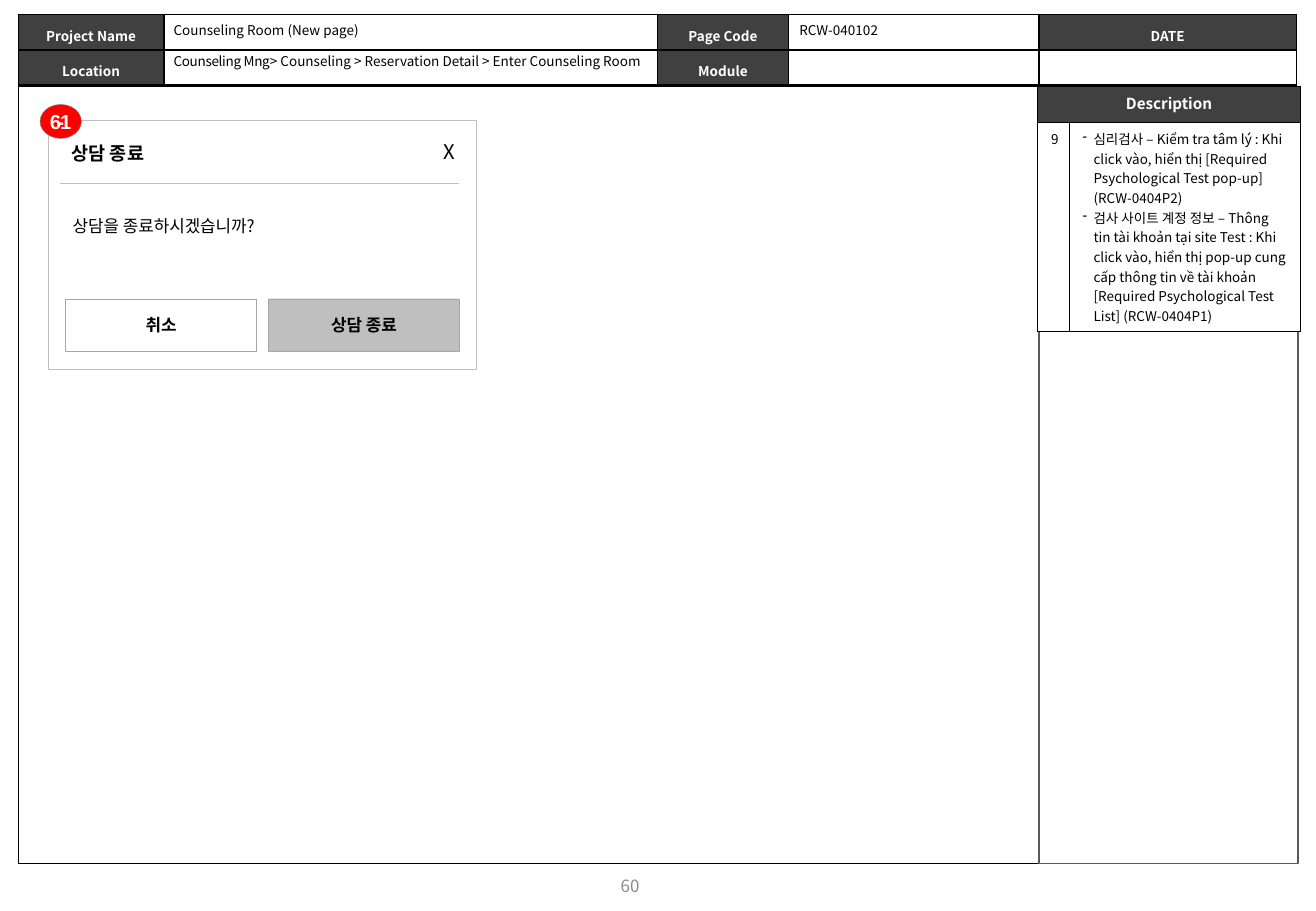
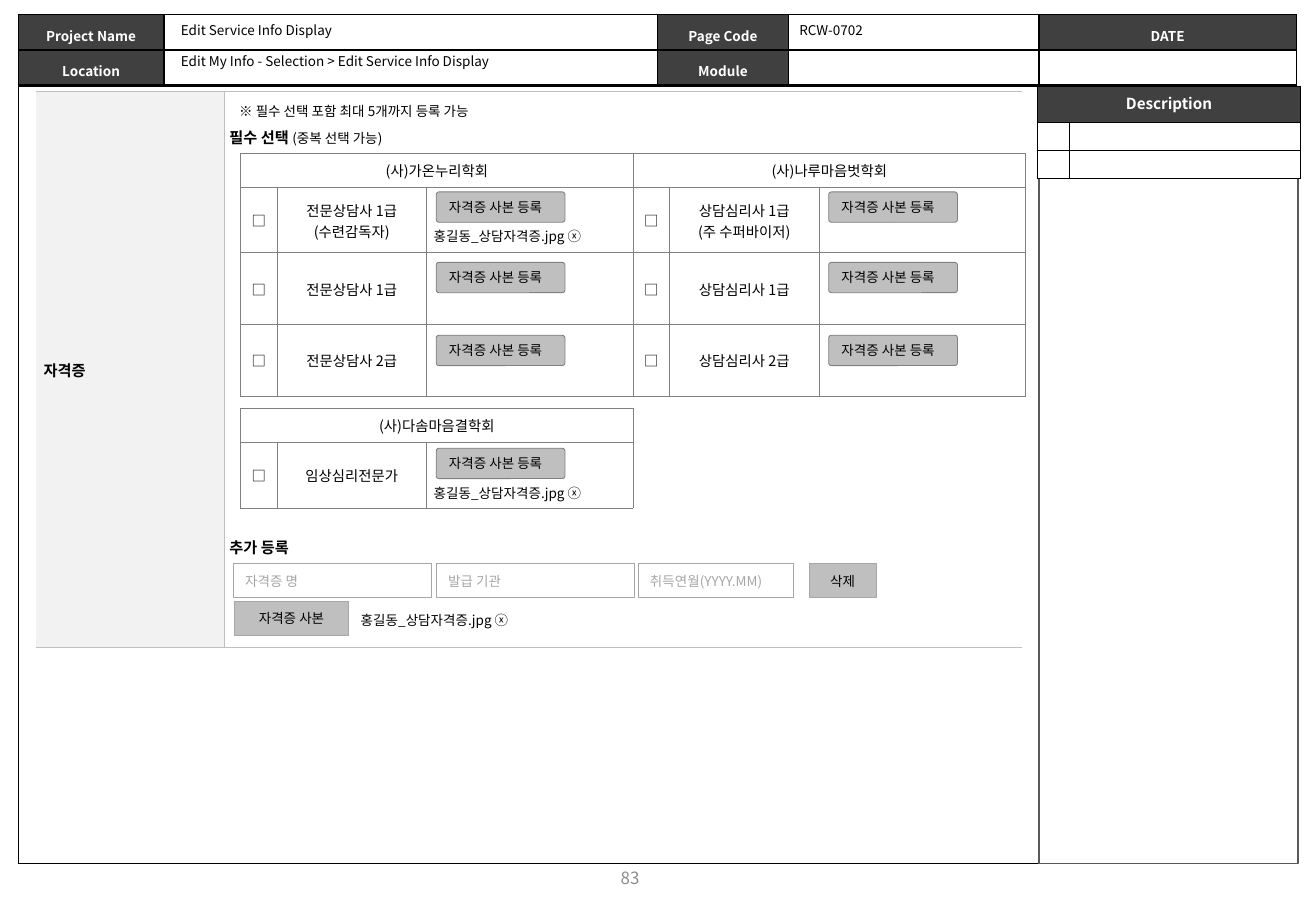
from itertools import product

from lxml import etree
from pptx import Presentation
from pptx.dml.color import RGBColor
from pptx.enum import shapes as kinds, text as texts
from pptx.oxml import ns
from pptx.util import Inches, Pt

BLACK = RGBColor(0x00, 0x00, 0x00)
WHITE = RGBColor(0xFF, 0xFF, 0xFF)
RED = RGBColor(0xFF, 0x00, 0x00)
CHARCOAL = RGBColor(0x40, 0x40, 0x40)
PANEL_LINE = RGBColor(0x59, 0x59, 0x59)
GRAY = RGBColor(0x80, 0x80, 0x80)
NUMBER_GRAY = RGBColor(0x8C, 0x8C, 0x8C)
HINT_GRAY = RGBColor(0xA6, 0xA6, 0xA6)
SILVER = RGBColor(0xBF, 0xBF, 0xBF)
PALE = RGBColor(0xF2, 0xF2, 0xF2)
SANS = "Noto Sans CJK KR"
CENTER = texts.PP_ALIGN.CENTER
MIDDLE = texts.MSO_ANCHOR.MIDDLE
RECTANGLE = kinds.MSO_SHAPE.RECTANGLE
TIGHT = (0.01, 0.01, 0.01, 0)
ROOMY = (0.11, 0.05, 0.11, 0.05)
BAR = (0.04, 0.04, 0.04, 0.04)
MARGIN_NAMES = ("margin_left", "margin_top", "margin_right", "margin_bottom")
FILE_NAME = "홍길동_상담자격증.jpg ⓧ"


def apply(target, values):
    """Set every attribute named in a dict."""
    for name, value in values.items():
        setattr(target, name, value)


def margins(insets):
    """Return inset attributes for a text frame or a cell."""
    return dict(zip(MARGIN_NAMES, map(Inches, insets)))


def add_run(paragraph, content, size=8, color=BLACK, bold=False, font=SANS, tracking=0):
    """Add one formatted run."""
    run = paragraph.add_run()
    run.text = content
    apply(run.font, {"size": Pt(size), "bold": bold, "name": font})
    run.font.color.rgb = color
    properties = run.font._element
    east_asian = etree.SubElement(properties, ns.qn("a:ea"))
    east_asian.set("typeface", SANS)
    if tracking:
        properties.set("spc", str(round(tracking * 100)))


def write(frame, paragraphs, align=None, spacing=None, bullet=None, **style):
    """Fill a text frame from a string or a list of paragraphs."""
    if isinstance(paragraphs, str):
        paragraphs = [paragraphs]
    for index, content in enumerate(paragraphs):
        paragraph = frame.add_paragraph() if index else frame.paragraphs[0]
        apply(paragraph, {"alignment": align, "line_spacing": spacing})
        runs = [(content, {})] if isinstance(content, str) else content
        for words, changes in runs:
            add_run(paragraph, words, **{**style, **changes})
        if bullet:
            properties = paragraph._p.get_or_add_pPr()
            for name, value in {"marL": 0.09, "indent": -0.09}.items():
                properties.set(name, str(Inches(value)))
            etree.SubElement(properties, ns.qn("a:buChar")).set("char", bullet)


def add_text(shapes, box, content, wrap=False, anchor=texts.MSO_ANCHOR.TOP, **style):
    """Add a text box."""
    frame = shapes.add_textbox(*map(Inches, box)).text_frame
    apply(frame, {"word_wrap": wrap, "vertical_anchor": anchor})
    if not wrap:
        frame.auto_size = texts.MSO_AUTO_SIZE.SHAPE_TO_FIT_TEXT
    write(frame, content, **style)


def add_box(shapes, box, fill, line, width=0.25, content=None, kind=RECTANGLE,
            wrap=True, insets=(0.1, 0.05, 0.1, 0.05), **style):
    """Add a filled and outlined preset shape with optional text."""
    shape = shapes.add_shape(kind, *map(Inches, box))
    shape.shadow.inherit = False
    shape.fill.solid()
    shape.fill.fore_color.rgb = fill
    shape.line.color.rgb = line
    shape.line.width = Pt(width)
    if content:
        apply(shape.text_frame, {"word_wrap": wrap, "vertical_anchor": MIDDLE, **margins(insets)})
        write(shape.text_frame, content, **style)
    return shape


def add_rule(shapes, start, end, color, width):
    """Add a straight line without a shadow."""
    points = map(Inches, (*start, *end))
    rule = shapes.add_connector(kinds.MSO_CONNECTOR.STRAIGHT, *points)
    rule.line.color.rgb = color
    rule.line.width = Pt(width)
    etree.SubElement(rule._element.spPr, ns.qn("a:effectLst"))


def set_borders(cell, sides, color, width):
    """Draw the named sides of a cell and hide the others."""
    properties = cell._tc.get_or_add_tcPr()
    for side in "LRTB":
        line = etree.SubElement(properties, ns.qn(f"a:ln{side}"))
        if side in sides:
            line.set("w", str(Pt(width)))
            solid = etree.SubElement(line, ns.qn("a:solidFill"))
            etree.SubElement(solid, ns.qn("a:srgbClr")).set("val", str(color))
        else:
            etree.SubElement(line, ns.qn("a:noFill"))


def add_table(shapes, origin, columns, rows, cells, border, merges=()):
    """Add a table whose cells are dicts keyed by row and column."""
    size = (sum(columns), sum(rows))
    frame = shapes.add_table(len(rows), len(columns), *map(Inches, (*origin, *size)))
    table = frame.table
    apply(table, {"first_row": False, "horz_banding": False})
    for column, width in zip(table.columns, columns):
        column.width = Inches(width)
    for row, height in zip(table.rows, rows):
        row.height = Inches(height)
    for position in product(range(len(rows)), range(len(columns))):
        cell = table.cell(*position)
        style = dict(cells.get(position, {}))
        set_borders(cell, style.pop("sides", "LRTB"), *border)
        fill = style.pop("fill", None)
        if fill is None:
            cell.fill.background()
        else:
            cell.fill.solid()
            cell.fill.fore_color.rgb = fill
        apply(cell, margins(style.pop("insets", TIGHT)))
        cell.vertical_anchor = style.pop("anchor", texts.MSO_ANCHOR.TOP)
        content = style.pop("content", None)
        if content:
            write(cell.text_frame, content, **style)
        else:
            cell.text_frame.paragraphs[0]._p.get_or_add_endParaRPr().set("sz", "100")
    for first, last in merges:
        table.cell(*first).merge(table.cell(*last))


def add_page_frame(slide):
    """Draw the header, the page border and the side panel."""
    labels = {(0, 0): "Project Name", (0, 2): "Page Code", (0, 4): "DATE",
              (1, 0): "Location", (1, 2): "Module"}
    header = {position: dict(content=label, fill=CHARCOAL, insets=BAR, align=CENTER,
                             spacing=1.3, color=WHITE, bold=True)
              for position, label in labels.items()}
    add_table(slide.shapes, (0.15, 0.71), [10.51], [6.4], {}, (BLACK, 1))
    add_table(slide.shapes, (0.15, 0.12), [1.2, 4.06, 1.08, 2.06, 2.12], [0.29] * 2,
              header, (BLACK, 1))
    add_box(slide.shapes, (8.55, 1, 2.13, 6.11), WHITE, PANEL_LINE, 1)


def add_page_details(slide, name, location, code, left, number, number_top):
    """Write the values that identify one page."""
    add_text(slide.shapes, (left, 0.13, 1.77, 0.24), name)
    add_text(slide.shapes, (left, 0.39, 4.14, 0.24), location)
    add_text(slide.shapes, (6.48, 0.13, 0.86, 0.24), code)
    add_text(slide.shapes, (3.92, number_top, 2.53, 0.4), number, wrap=True,
             anchor=MIDDLE, align=CENTER, size=10, color=NUMBER_GRAY)


def add_description(slide, heights, entries):
    """Add the description table of the side panel."""
    cells = {position: dict(fill=WHITE, insets=ROOMY)
             for position in product(range(1, len(heights) + 1), range(2))}
    cells[0, 0] = dict(content="Description", fill=CHARCOAL, insets=ROOMY,
                       align=CENTER, size=9, color=WHITE, bold=True)
    for position, entry in entries.items():
        cells[position].update(entry)
    add_table(slide.shapes, (8.54, 0.71), [0.25, 1.9], [0.3, *heights], cells,
              (BLACK, 0.5), [((0, 0), (0, 1))])


def add_dialog(slide):
    """Draw the pop-up that ends a counseling session."""
    shapes = slide.shapes.add_group_shape().shapes
    add_box(shapes, (0.4, 0.99, 3.52, 2.05), WHITE, SILVER)
    add_text(shapes, (0.49, 1.12, 0.87, 0.29), "상담 종료", size=11, bold=True)
    add_text(shapes, (3.55, 1.1, 0.3, 0.3), "X", size=12)
    add_text(shapes, (0.5, 1.68, 1.86, 0.32), "상담을 종료하시겠습니까?", size=10, spacing=1.3)
    add_rule(shapes, (0.49, 1.51), (3.78, 1.51), SILVER, 0.75)
    for left, label, fill in ((2.21, "상담 종료", SILVER), (0.54, "취소", WHITE)):
        add_box(shapes, (left, 2.46, 1.57, 0.43), fill, HINT_GRAY, content=label,
                wrap=False, align=CENTER, size=10, bold=True)
    add_box(slide.shapes, (0.33, 0.86, 0.34, 0.28), RED, GRAY, content="6-1",
            kind=kinds.MSO_SHAPE.OVAL, insets=(0, 0, 0, 0), align=CENTER,
            size=12, color=WHITE, bold=True, font="Arial", tracking=-2.3)


def add_certificates(slide, origin, societies, heights):
    """Add a certificate table with one three-column block per society."""
    common = dict(fill=WHITE, anchor=MIDDLE, align=CENTER, size=8.5)
    cells, merges = {}, []
    for block, (society, grades) in enumerate(societies):
        first = block * 3
        merges.append(((0, first), (0, first + 2)))
        cells[0, first] = dict(common, content=society)
        for row, grade in enumerate(grades, 1):
            for offset, content in enumerate(("□", grade, None)):
                cells[row, first + offset] = dict(common, content=content)
    add_table(slide.shapes, origin, [0.3, 1.23, 1.7] * len(societies), heights, cells,
              (GRAY, 0.25), merges)


def add_upload_button(slide, left, top):
    """Add a rounded upload button."""
    button = add_box(slide.shapes, (left, top, 1.06, 0.25), SILVER, GRAY, 0.5,
                     "자격증 사본 등록", kinds.MSO_SHAPE.ROUNDED_RECTANGLE,
                     wrap=False, font="Cabin")
    button.adjustments[0] = 0.09


def add_certificate_form(slide):
    """Draw the form for registering certificates."""
    section = {(0, 0): dict(content="자격증", fill=PALE, anchor=MIDDLE, size=9, bold=True,
                            insets=(0.06, 0.01, 0.01, 0), sides="RTB"),
               (0, 1): dict(fill=WHITE, sides="LTB")}
    add_table(slide.shapes, (0.3, 0.75), [1.55, 6.56], [4.58], section, (SILVER, 0.5))
    add_text(slide.shapes, (1.87, 0.8, 2.32, 0.24), "※ 필수 선택 포함 최대 5개까지 등록 가능")
    add_text(slide.shapes, (1.79, 1.01, 1.62, 0.25),
             [[("필수 선택 ", dict(size=9, bold=True)), ("(중복 선택 가능)", {})]])
    add_text(slide.shapes, (1.79, 4.38, 0.75, 0.25), "추가 등록", size=9, bold=True)
    for left, width, hint in ((1.92, 1.63, "자격증 명"), (3.59, 1.63, "발급 기관"),
                              (5.25, 1.28, "취득연월(YYYY.MM)")):
        add_box(slide.shapes, (left, 4.64, width, 0.28), WHITE, HINT_GRAY,
                content=hint, color=HINT_GRAY)
    for left, top, width, label in ((6.66, 4.64, 0.55, "삭제"), (1.93, 4.95, 0.94, "자격증 사본")):
        add_box(slide.shapes, (left, top, width, 0.28), SILVER, HINT_GRAY,
                content=label, align=CENTER)
    societies = [
        ("(사)가온누리학회", [["전문상담사 1급", "(수련감독자)"], "전문상담사 1급", "전문상담사 2급"]),
        ("(사)나루마음벗학회", [["상담심리사 1급", "(주 수퍼바이저)"], "상담심리사 1급", "상담심리사 2급"]),
    ]
    add_certificates(slide, (1.98, 1.26), societies, [0.28, 0.54, 0.59, 0.59])
    add_certificates(slide, (1.98, 3.36), [("(사)다솜마음결학회", ["임상심리전문가"])], [0.28, 0.54])
    for left, top in [*product((3.59, 6.82), (1.58, 2.16, 2.76)), (3.59, 3.69)]:
        add_upload_button(slide, left, top)
    for left, top in ((3.47, 1.83), (3.47, 3.94), (2.87, 4.99)):
        add_text(slide.shapes, (left, top, 1.45, 0.24), FILE_NAME, wrap=True)


def main():
    """Build and save the two slides."""
    presentation = Presentation()
    apply(presentation, {"slide_width": Inches(10.83), "slide_height": Inches(7.5)})
    dialog_page, form_page = (presentation.slides.add_slide(presentation.slide_layouts[6])
                              for _ in range(2))
    add_page_frame(dialog_page)
    location = [[("Counseling Mng", dict(tracking=-0.2)),
                 ("> Counseling > Reservation Detail > Enter Counseling Room", {})]]
    add_page_details(dialog_page, "Counseling Room (New page)", location,
                     "RCW-040102", 1.33, "60", 7.09)
    notes = ["심리검사 – Kiểm tra tâm lý : Khi click vào, hiển thị "
             "[Required Psychological Test pop-up] (RCW-0404P2)",
             "검사 사이트 계정 정보 – Thông tin tài khoản tại site Test : Khi click vào, "
             "hiển thị pop-up cung cấp thông tin về tài khoản "
             "[Required Psychological Test List] (RCW-0404P1)"]
    add_description(dialog_page, [1.72], {(1, 0): dict(content="9"),
                                          (1, 1): dict(content=notes, bullet="-")})
    add_dialog(dialog_page)
    add_page_frame(form_page)
    add_page_details(form_page, "Edit Service Info Display",
                     "Edit My Info - Selection > Edit Service Info Display",
                     "RCW-0702", 1.39, "83", 7.03)
    add_description(form_page, [0.23] * 2, {})
    add_certificate_form(form_page)
    presentation.save("out.pptx")


if __name__ == "__main__":
    main()
